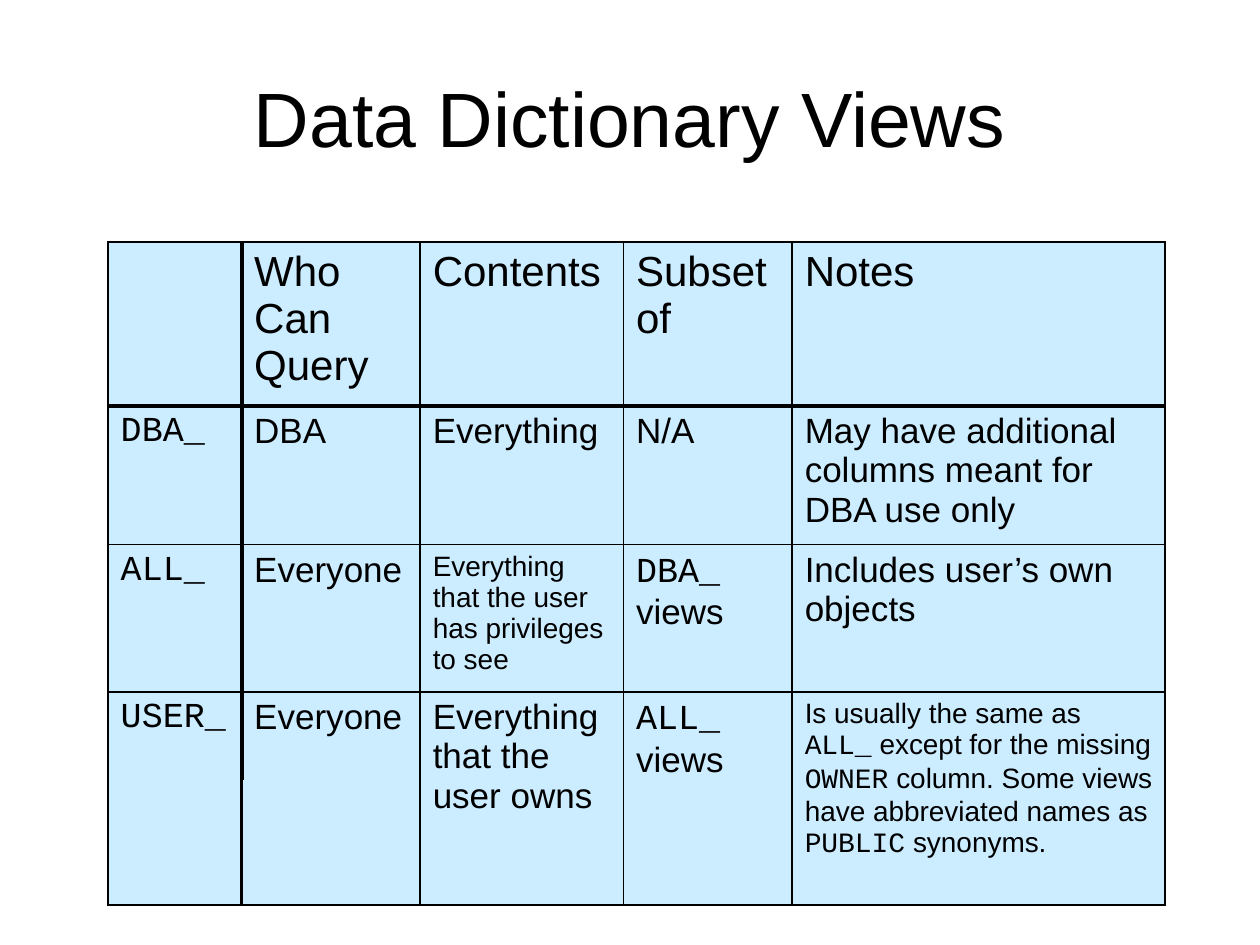
from lxml.etree import SubElement, fromstring
from pptx import Presentation
from pptx.dml.color import RGBColor
from pptx.enum.shapes import MSO_CONNECTOR
from pptx.enum.text import MSO_ANCHOR, PP_ALIGN
from pptx.oxml.ns import nsdecls, qn
from pptx.util import Cm, Pt


def rgb(value):
    return RGBColor.from_string(value)


def style(r, size, font="Arial"):
    r.font.size = Pt(size)
    r.font.name = font
    r.font.color.rgb = rgb("000000")


prs = Presentation()
prs.slide_width, prs.slide_height = Cm(25.4), Cm(19.05)
s = prs.slides.add_slide(prs.slide_layouts[6])

title = s.shapes.add_textbox(Cm(1.27), Cm(0.76), Cm(22.86), Cm(3.18))
tf = title.text_frame
tf.word_wrap = True
tf.vertical_anchor = MSO_ANCHOR.MIDDLE
tf.text = "Data Dictionary Views"
p = tf.paragraphs[0]
p.alignment = PP_ALIGN.CENTER
style(p.runs[0], 44)

rows = [
    ["", "Who Can\nQuery", "Contents", "Subset of", "Notes"],
    ["`DBA_`", "DBA", "Everything", "N/A",
     "May have additional columns meant for DBA use only"],
    ["`ALL_`", "Everyone", "Everything that the user has privileges to see",
     "`DBA_` views", "Includes user’s own objects"],
    ["`USER_`", "Everyone", "Everything that the user owns", "`ALL_` views",
     "Is usually the same as `ALL_` except for the missing `OWNER` column. "
     "Some views have abbreviated names as `PUBLIC` synonyms."],
]
col_widths = [2.69, 3.6, 4.1, 3.4, 7.52]
row_heights = [3.3, 2.79, 2.97, 4.29]
small_cells = [(2, 2), (3, 4)]
left, top = 2.18, 4.88

frame = s.shapes.add_table(len(rows), len(col_widths), Cm(left), Cm(top),
                           Cm(sum(col_widths)), Cm(sum(row_heights)))
table = frame.table
table.first_row = table.horz_banding = False
for column, width in zip(table.columns, col_widths):
    column.width = Cm(width)
for row, height in zip(table.rows, row_heights):
    row.height = Cm(height)

for i, row in enumerate(rows):
    for j, text in enumerate(row):
        cell = table.cell(i, j)
        cell.fill.solid()
        cell.fill.fore_color.rgb = rgb("CCECFF")
        size = 24 if i == 0 else 16 if (i, j) in small_cells else 20
        p = cell.text_frame.paragraphs[0]
        p.space_before = Pt(size / 4)
        for n, line in enumerate(text.split("\n")):
            if n:
                p.add_line_break()
            for k, part in enumerate(line.split("`")):
                if part:
                    r = p.add_run()
                    r.text = part
                    style(r, size, "Courier New" if k % 2 else "Arial")
        thick = {"L": j == 1, "R": j == 0, "T": i == 1, "B": i == 0}
        for n, (side, heavy) in enumerate(thick.items()):
            width = Pt(2.21 if heavy else 1.08)
            cell._tc.get_or_add_tcPr().insert(n, fromstring(
                f'<a:ln{side} {nsdecls("a")} w="{width}"><a:solidFill>'
                f'<a:srgbClr val="000000"/></a:solidFill></a:ln{side}>'))

x = Cm(4.88)
divider = s.shapes.add_connector(MSO_CONNECTOR.STRAIGHT, x, Cm(top), x, Cm(15.72))
divider.line.color.rgb = rgb("000000")
divider.line.width = Pt(2.25)
SubElement(divider._element.spPr, qn("a:effectLst"))

prs.save("out.pptx")
